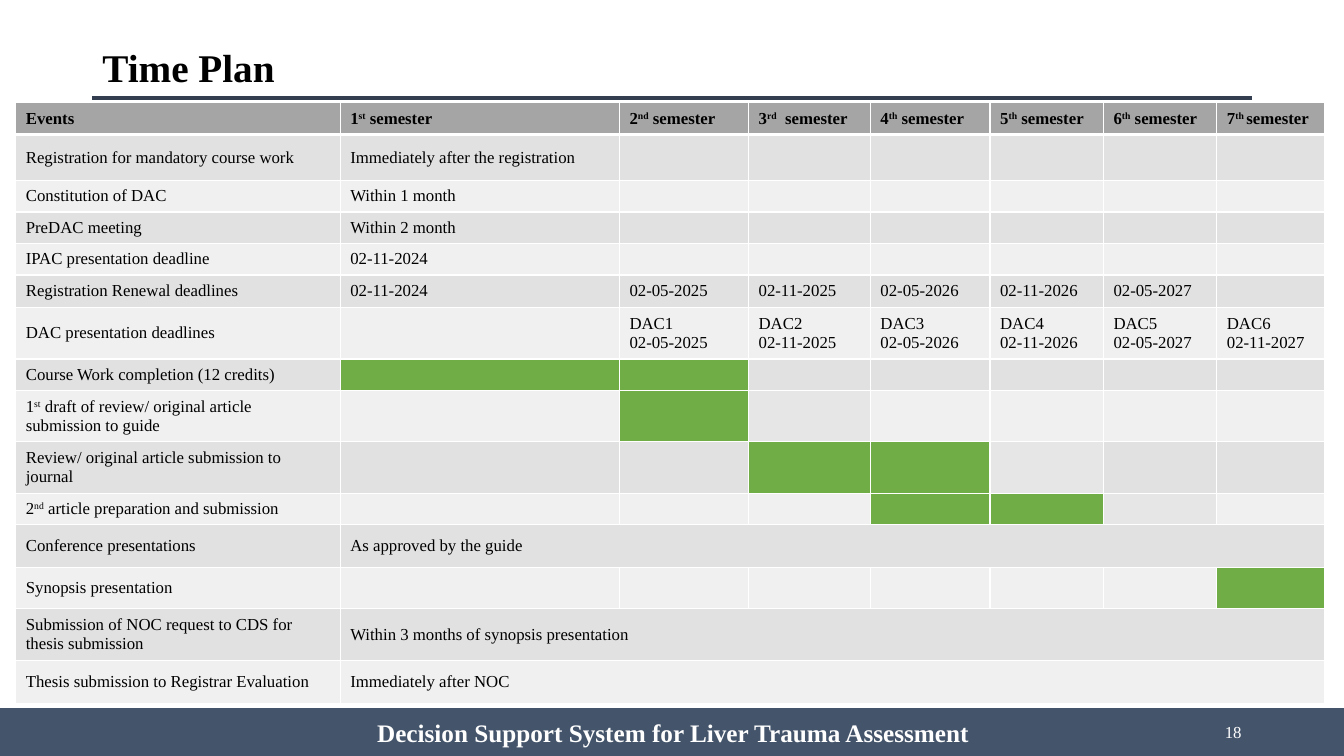
from dataclasses import dataclass

from lxml.etree import SubElement
from pptx import Presentation
from pptx.dml.color import RGBColor
from pptx.enum.shapes import MSO_CONNECTOR, MSO_SHAPE
from pptx.enum.text import MSO_ANCHOR, MSO_AUTO_SIZE, PP_ALIGN
from pptx.oxml.ns import qn
from pptx.shapes.autoshape import Shape
from pptx.slide import Slide
from pptx.table import Table, _Cell
from pptx.text.text import TextFrame, _Paragraph
from pptx.util import Emu, Pt

FONT = "Times New Roman"
BLACK = RGBColor(0x00, 0x00, 0x00)
WHITE = RGBColor(0xFF, 0xFF, 0xFF)
NAVY = RGBColor(0x33, 0x3F, 0x50)
SLATE = RGBColor(0x44, 0x54, 0x6A)
HEADER_GREY = RGBColor(0xA5, 0xA5, 0xA5)
ODD_GREY = RGBColor(0xE1, 0xE1, 0xE1)
EVEN_GREY = RGBColor(0xF0, 0xF0, 0xF0)
PALE_GREY = RGBColor(0xE7, 0xE6, 0xE6)
GREEN = RGBColor(0x70, 0xAD, 0x47)


@dataclass(frozen=True)
class Event:
    height: int
    cells: tuple[str, ...]
    active: tuple[int, ...] = ()
    pale: int = 0
    merged: bool = False


COLUMN_WIDTHS = (309, 266, 123, 116, 114, 108, 108, 103)
EVENTS = (
    Event(30, ("Events", "1^st^ semester", "2^nd^ semester", "3^rd^  semester", "4^th^ semester",
               "5^th^ semester", "6^th^ semester", "7^th ^semester")),
    Event(44, ("Registration for mandatory course work", "Immediately after the registration")),
    Event(30, ("Constitution of DAC", "Within 1 month")),
    Event(30, ("PreDAC meeting", "Within 2 month")),
    Event(30, ("IPAC presentation deadline", "02-11-2024")),
    Event(31, ("Registration Renewal deadlines", "02-11-2024", "02-05-2025", "02-11-2025",
               "02-05-2026", "02-11-2026", "02-05-2027")),
    Event(49, ("DAC presentation deadlines", "", "DAC1\n02-05-2025", "DAC2\n02-11-2025",
               "DAC3\n02-05-2026", "DAC4\n02-11-2026", "DAC5\n02-05-2027", "DAC6\n02-11-2027")),
    Event(30, ("Course Work completion (12 credits)",), active=(1, 2)),
    Event(49, ("1^st^ draft of review/ original article submission to guide",), active=(2,), pale=3),
    Event(49, ("Review/ original article submission to journal",), active=(3, 4), pale=5),
    Event(30, ("2^nd^ article preparation and submission",), active=(4, 5), pale=6),
    Event(41, ("Conference presentations", "As approved by the guide"), merged=True),
    Event(39, ("Synopsis presentation",), active=(7,)),
    Event(49, ("Submission of NOC request to CDS for thesis submission",
               "Within 3 months of synopsis presentation"), merged=True),
    Event(41, ("Thesis submission to Registrar Evaluation", "Immediately after NOC"), merged=True),
)


def px(length: int) -> Emu:
    return Emu(length * 9525)


def add_run(paragraph: _Paragraph, text: str, size: int, color: RGBColor,
            bold: bool = False, raised: bool = False) -> None:
    run = paragraph.add_run()
    run.text = text
    run.font.name = FONT
    run.font.size = Pt(size)
    run.font.bold = bold
    run.font.color.rgb = color
    if raised:
        run._r.get_or_add_rPr().set("baseline", "30000")


def place(shape: Shape, left: int, top: int, width: int, height: int) -> None:
    shape.left, shape.top, shape.width, shape.height = map(px, (left, top, width, height))


def set_up_frame(frame: TextFrame, anchor: MSO_ANCHOR, align: PP_ALIGN) -> _Paragraph:
    frame.word_wrap = True
    frame.auto_size = MSO_AUTO_SIZE.NONE
    frame.vertical_anchor = anchor
    paragraph = frame.paragraphs[0]
    paragraph.alignment = align
    return paragraph


def add_footer_text(slide: Slide, box: tuple[int, int, int, int], text: str, size: int,
                    align: PP_ALIGN, bold: bool = False) -> None:
    footer = slide.shapes.add_textbox(*map(px, box))
    paragraph = set_up_frame(footer.text_frame, MSO_ANCHOR.MIDDLE, align)
    add_run(paragraph, text, size, WHITE, bold)


def add_border(cell: _Cell, side: str, points: int) -> None:
    line = SubElement(cell._tc.get_or_add_tcPr(), qn(f"a:{side}"), w=str(Pt(points)))
    fill = SubElement(line, qn("a:solidFill"))
    SubElement(fill, qn("a:srgbClr"), val=str(WHITE))


def write_cell(cell: _Cell, text: str, bold: bool) -> None:
    cell.vertical_anchor = MSO_ANCHOR.MIDDLE
    for index, line in enumerate(text.split("\n")):
        frame = cell.text_frame
        paragraph = frame.add_paragraph() if index else frame.paragraphs[0]
        for part, piece in enumerate(line.split("^")):
            if piece:
                add_run(paragraph, piece, 12, BLACK, bold, raised=part % 2 == 1)
        if not line:
            SubElement(paragraph._p, qn("a:endParaRPr"), sz="1200")


def cell_color(event: Event, row: int, column: int) -> RGBColor:
    if row == 0:
        return HEADER_GREY
    if column in event.active:
        return GREEN
    if column and column == event.pale:
        return PALE_GREY
    return ODD_GREY if row % 2 else EVEN_GREY


def fill_row(table: Table, row: int, event: Event) -> None:
    table.rows[row].height = px(event.height)
    last = len(COLUMN_WIDTHS) - 1
    if event.merged:
        table.cell(row, 1).merge(table.cell(row, last))
    for column in range(last + 1):
        cell = table.cell(row, column)
        write_cell(cell, event.cells[column] if column < len(event.cells) else "", row == 0)
        add_border(cell, "lnL", 1)
        add_border(cell, "lnR", 1)
        add_border(cell, "lnT", 3 if row == 1 else 1)
        add_border(cell, "lnB", 3 if row == 0 else 1)
        cell.fill.solid()
        cell.fill.fore_color.rgb = cell_color(event, row, column)


def add_time_plan(slide: Slide) -> None:
    table = slide.shapes.add_table(
        len(EVENTS), len(COLUMN_WIDTHS), px(15), px(98),
        px(sum(COLUMN_WIDTHS)), px(sum(event.height for event in EVENTS))).table
    table.first_row = True
    table.horz_banding = False
    for column, width in zip(table.columns, COLUMN_WIDTHS):
        column.width = px(width)
    for row, event in enumerate(EVENTS):
        fill_row(table, row, event)


def add_title(slide: Slide) -> None:
    heading = slide.shapes.title
    place(heading, 88, 36, 640, 55)
    paragraph = set_up_frame(heading.text_frame, MSO_ANCHOR.TOP, PP_ALIGN.LEFT)
    add_run(paragraph, "Time Plan", 28, BLACK, bold=True)
    rule = slide.shapes.add_connector(MSO_CONNECTOR.STRAIGHT, px(88), px(93), px(1192), px(93))
    rule.line.color.rgb = NAVY
    rule.line.width = Pt(3)
    SubElement(rule._element.spPr, qn("a:effectLst"))


def add_footer(slide: Slide) -> None:
    bar = slide.shapes.add_shape(MSO_SHAPE.RECTANGLE, px(0), px(675), px(1280), px(45))
    bar.shadow.inherit = False
    bar.fill.solid()
    bar.fill.fore_color.rgb = SLATE
    bar.line.color.rgb = SLATE
    bar.line.width = Pt(1)
    add_footer_text(slide, (904, 678, 288, 38), "18", 12, PP_ALIGN.RIGHT)
    add_footer_text(slide, (333, 679, 616, 38), "Decision Support System for Liver Trauma Assessment",
                    18, PP_ALIGN.CENTER, bold=True)


def main() -> None:
    deck = Presentation()
    deck.slide_width, deck.slide_height = px(1280), px(720)
    slide = deck.slides.add_slide(deck.slide_layouts[5])
    add_title(slide)
    add_footer(slide)
    add_time_plan(slide)
    deck.save("out.pptx")


if __name__ == "__main__":
    main()
